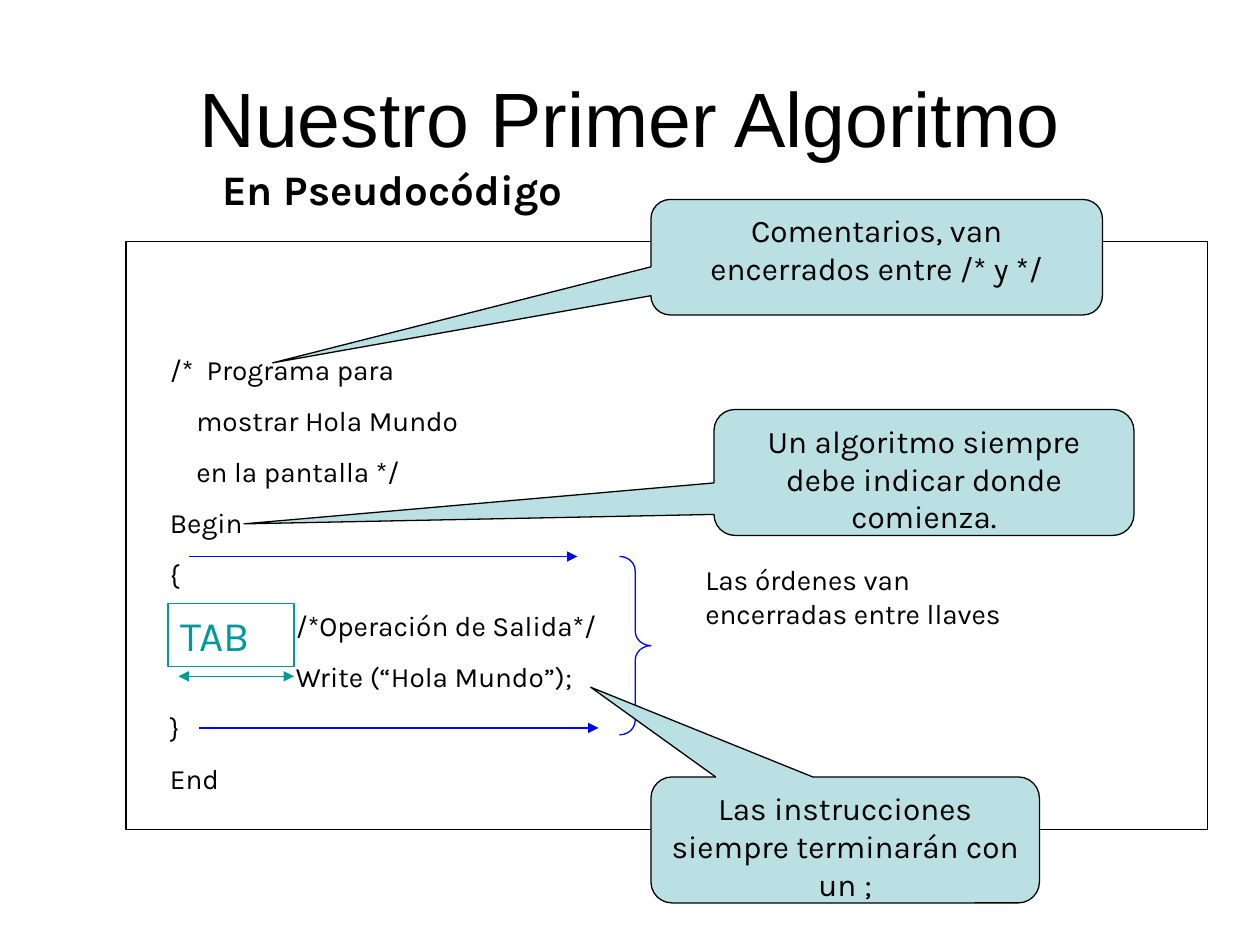
from lxml.etree import SubElement
from pptx import Presentation
from pptx.dml.color import RGBColor
from pptx.enum.shapes import MSO_CONNECTOR as CONNECTOR, MSO_SHAPE as SHAPE
from pptx.enum.text import MSO_ANCHOR as ANCHOR, PP_ALIGN as ALIGN
from pptx.oxml.ns import qn
from pptx.util import Pt

BLACK, WHITE, BLUE, TEAL, PALE = "000000", "FFFFFF", "0000FF", "009999", "BBE0E3"
TITLE = "Nuestro Primer Algoritmo"
SUBTITLE = "En Pseudocódigo"
CODE_INDENT = 72
PSEUDOCODE = [
    "/*  Programa para",
    "    mostrar Hola Mundo",
    "    en la pantalla */",
    "Begin",
    "{",
    "\t/*Operación de Salida*/",
    "\tWrite (“Hola Mundo”);",
    "}",
    "End",
]
BRACES_NOTE = "Las órdenes van encerradas entre llaves"
CALLOUTS = [
    ("Un algoritmo siempre debe indicar donde comienza.",
     (408, 234, 240, 72), (-1.619, 0.408, 0.167)),
    ("Las instrucciones siempre terminarán con un ;",
     (372, 444, 222, 72), (-0.655, -1.212, 0.167)),
    ("Comentarios, van encerrados entre /* y */",
     (372, 114, 258, 66), (-1.338, 0.915, 0.167)),
]
ARROWS = [
    (108, 330, 318, BLUE, ["tailEnd"]),
    (114, 342, 416, BLUE, ["tailEnd"]),
    (102, 168, 386.5, TEAL, ["headEnd", "tailEnd"]),
]


def rgb(value):
    return RGBColor.from_string(value)


def add_tab_stop(paragraph, position):
    stops = SubElement(paragraph._p.get_or_add_pPr(), qn("a:tabLst"))
    SubElement(stops, qn("a:tab"), pos=str(Pt(position)), algn="l")


def write(shape, lines, size, color=BLACK, align=ALIGN.LEFT, font="Karla",
          bold=False, anchor=ANCHOR.TOP):
    frame = shape.text_frame
    frame.word_wrap = True
    frame.vertical_anchor = anchor
    for index, line in enumerate(lines):
        paragraph = frame.add_paragraph() if index else frame.paragraphs[0]
        paragraph.alignment = align
        paragraph.space_before = Pt(10 if index else 0)
        if line.startswith("\t"):
            add_tab_stop(paragraph, CODE_INDENT)
        run = paragraph.add_run()
        run.text = line
        run.font.name, run.font.size, run.font.bold = font, Pt(size), bold
        run.font.color.rgb = rgb(color)


def draw(slide, kind, box, line, fill=None, adjustments=()):
    shape = slide.shapes.add_shape(kind, *map(Pt, box))
    shape.shadow.inherit = False
    shape.line.color.rgb = rgb(line)
    shape.line.width = Pt(0.75)
    if fill:
        shape.fill.solid()
        shape.fill.fore_color.rgb = rgb(fill)
    else:
        shape.fill.background()
    for index, value in enumerate(adjustments):
        shape.adjustments[index] = value
    return shape


def draw_arrow(slide, left, right, y, color, ends):
    arrow = slide.shapes.add_connector(
        CONNECTOR.STRAIGHT, Pt(left), Pt(y), Pt(right), Pt(y))
    arrow.line.color.rgb = rgb(color)
    arrow.line.width = Pt(0.75)
    outline = arrow.line._get_or_add_ln()
    for end in ends:
        SubElement(outline, qn(f"a:{end}"), type="triangle")
    SubElement(arrow._element.spPr, qn("a:effectLst"))


def add_text(slide, box, lines, size, **style):
    write(slide.shapes.add_textbox(*map(Pt, box)), lines, size, **style)


def main():
    """Build the annotated pseudocode slide."""
    deck = Presentation()
    deck.slide_width, deck.slide_height = Pt(720), Pt(540)
    slide = deck.slides.add_slide(deck.slide_layouts[5])

    title = slide.shapes.title
    title.left, title.top, title.width, title.height = map(Pt, (36, 21.6, 648, 90))
    write(title, [TITLE], 44, align=ALIGN.CENTER, font="Arial", anchor=ANCHOR.MIDDLE)

    draw(slide, SHAPE.RECTANGLE, (72, 138, 618, 336), BLACK, WHITE)
    add_text(slide, (90, 198, 276, 260), PSEUDOCODE, 16)
    draw(slide, SHAPE.RIGHT_BRACE, (354, 318, 18, 102), BLUE, adjustments=(0.46, 0.5))
    add_text(slide, (396, 318, 186, 65), [BRACES_NOTE], 16)

    for arrow in ARROWS:
        draw_arrow(slide, *arrow)
    for message, box, pointer in CALLOUTS:
        callout = draw(slide, SHAPE.ROUNDED_RECTANGULAR_CALLOUT, box, BLACK, PALE, pointer)
        write(callout, [message], 18, align=ALIGN.CENTER)

    tab = draw(slide, SHAPE.RECTANGLE, (96, 345, 72, 36), TEAL)
    write(tab, ["TAB"], 24, TEAL)
    add_text(slide, (120, 90, 258, 36), [SUBTITLE], 24, bold=True)
    deck.save("out.pptx")


if __name__ == "__main__":
    main()
